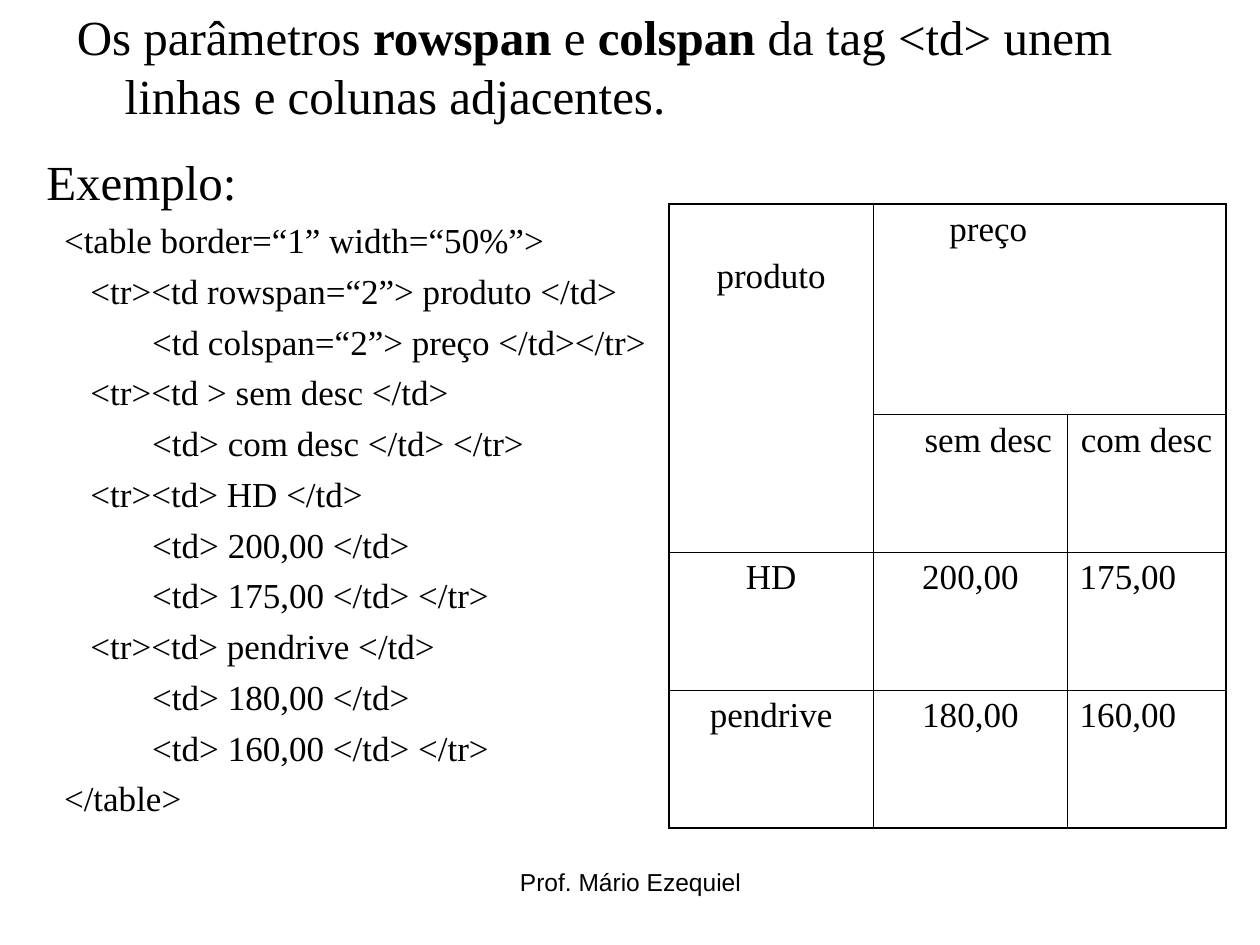
from lxml import etree
from pptx import Presentation
from pptx.dml.color import RGBColor
from pptx.enum.text import MSO_ANCHOR, MSO_AUTO_SIZE, PP_ALIGN
from pptx.oxml.ns import qn
from pptx.util import Inches, Pt

TOP, NO_FIT = MSO_ANCHOR.TOP, MSO_AUTO_SIZE.NONE
LEFT, CENTER = PP_ALIGN.LEFT, PP_ALIGN.CENTER
BLACK = RGBColor(0, 0, 0)
SERIF, SANS = "Times New Roman", "Arial"

TITLE = [("Os parâmetros ", False), ("rowspan", True), (" e ", False),
         ("colspan", True), (" da tag <td> unem linhas e colunas adjacentes.", False)]
CODE = [
    (0, "<table border=“1” width=“50%”>"),
    (1, "<tr><td rowspan=“2”> produto </td>"),
    (2, "<td colspan=“2”> preço </td></tr>"),
    (1, "<tr><td > sem desc </td>"),
    (2, "<td> com desc </td> </tr>"),
    (1, "<tr><td> HD </td>"),
    (2, "<td> 200,00 </td>"),
    (2, "<td> 175,00 </td> </tr>"),
    (1, "<tr><td> pendrive </td>"),
    (2, "<td> 180,00 </td>"),
    (2, "<td> 160,00 </td> </tr>"),
    (0, "</table>"),
]
CODE_INDENTS = [0.14, 0.35, 0.84]
TABLE = [
    ["produto", "", "preço", ""],
    ["", "", "sem desc", "com desc"],
    ["HD", "", "200,00", "175,00"],
    ["pendrive", "", "180,00", "160,00"],
]
TABLE_HEIGHT, HEAD_HEIGHT = 4.95, 1.67
COL_WIDTHS = [1.62, 0.29, 1.25, 1.26]
ROW_HEIGHTS = [HEAD_HEIGHT] + [(TABLE_HEIGHT - HEAD_HEIGHT) / 3] * 3
OUTER, INNER = 1.08, 0.45


def add_run(p, text, size, font=SERIF, bold=False):
    r = p.add_run()
    r.text = text
    r.font.size, r.font.name, r.font.bold = Pt(size), font, bold
    r.font.color.rgb = BLACK


def set_frame(shape):
    tf = shape.text_frame
    tf.word_wrap, tf.auto_size, tf.vertical_anchor = True, NO_FIT, TOP
    return tf


def set_indent(p, left, first=0):
    pPr = p._p.get_or_add_pPr()
    pPr.set("marL", str(Inches(left)))
    pPr.set("indent", str(Inches(first)))


def border_widths(row, col):
    last_row, last_col = len(TABLE) - 1, len(COL_WIDTHS) - 1
    preco_row = row == 0
    return {
        "L": OUTER if col == 0 else 0 if col == 2 or (preco_row and col == 3) else INNER,
        "R": OUTER if col == last_col else 0 if col == 1 or (preco_row and col == 2) else INNER,
        "T": OUTER if row == 0 else 0 if (row, col) == (1, 0) else INNER,
        "B": OUTER if row == last_row else 0 if (row, col) == (0, 0) else INNER,
    }


def set_borders(cell, widths):
    tcPr = cell._tc.get_or_add_tcPr()
    for side, width in widths.items():
        ln = etree.SubElement(tcPr, qn("a:ln" + side), w=str(Pt(width)))
        if width:
            fill = etree.SubElement(ln, qn("a:solidFill"))
            etree.SubElement(fill, qn("a:srgbClr"), val=str(BLACK))
        else:
            etree.SubElement(ln, qn("a:noFill"))


prs = Presentation()
prs.slide_width, prs.slide_height = Inches(10), Inches(7.5)
s = prs.slides.add_slide(prs.slide_layouts[5])

title = s.shapes.title
title.left, title.top, title.width, title.height = Inches(0.51), Inches(0), Inches(9), Inches(0.94)
p = set_frame(title).paragraphs[0]
p.alignment, p.line_spacing, p.space_before = LEFT, 1.0, Pt(7)
set_indent(p, 0.38, -0.38)
for text, bold in TITLE:
    add_run(p, text, 28, bold=bold)

code = s.shapes.add_textbox(Inches(0.27), Inches(1.15), Inches(4.96), Inches(5.94))
tf = set_frame(code)
tf.margin_right = 0
p = tf.paragraphs[0]
p.space_before = Pt(7)
add_run(p, "Exemplo:", 28)
for level, text in CODE:
    p = tf.add_paragraph()
    p.space_before = Pt(5)
    set_indent(p, CODE_INDENTS[level])
    add_run(p, text, 20)

frame = s.shapes.add_table(len(TABLE), len(COL_WIDTHS), Inches(5.31), Inches(1.62),
                           Inches(sum(COL_WIDTHS)), Inches(TABLE_HEIGHT))
table = frame.table
table.first_row = table.horz_banding = False
for column, width in zip(table.columns, COL_WIDTHS):
    column.width = Inches(width)
for row, height in zip(table.rows, ROW_HEIGHTS):
    row.height = Inches(height)
for i, texts in enumerate(TABLE):
    for j, text in enumerate(texts):
        cell = table.cell(i, j)
        set_borders(cell, border_widths(i, j))
        cell.fill.background()
        if text:
            p = cell.text_frame.paragraphs[0]
            p.alignment = LEFT if text[0].isdigit() else CENTER
            p.space_before = Pt(5)
            add_run(p, text, 20)
table.cell(0, 0).margin_top = Inches(0.42)

footer = s.shapes.add_textbox(Inches(3.42), Inches(6.83), Inches(3.17), Inches(0.52))
p = set_frame(footer).paragraphs[0]
p.alignment = CENTER
add_run(p, "Prof. Mário Ezequiel", 14, SANS)

prs.save("out.pptx")
